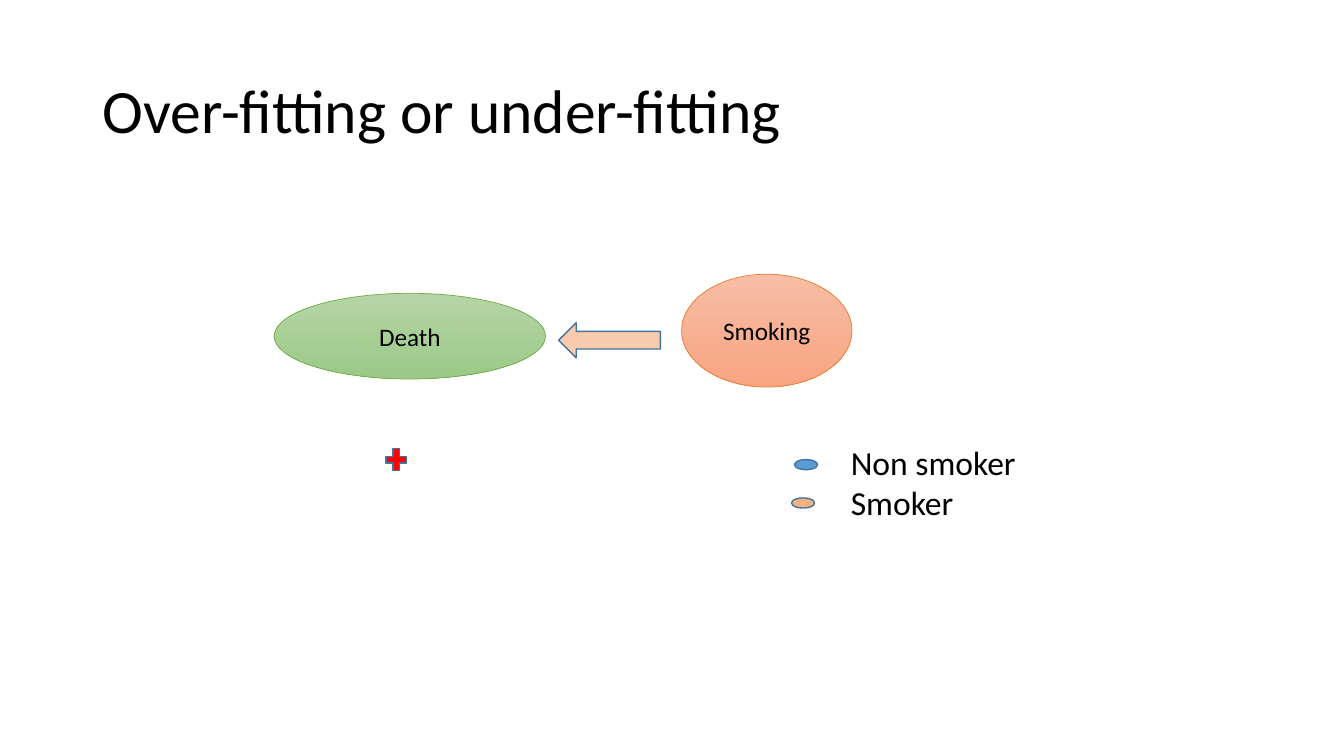
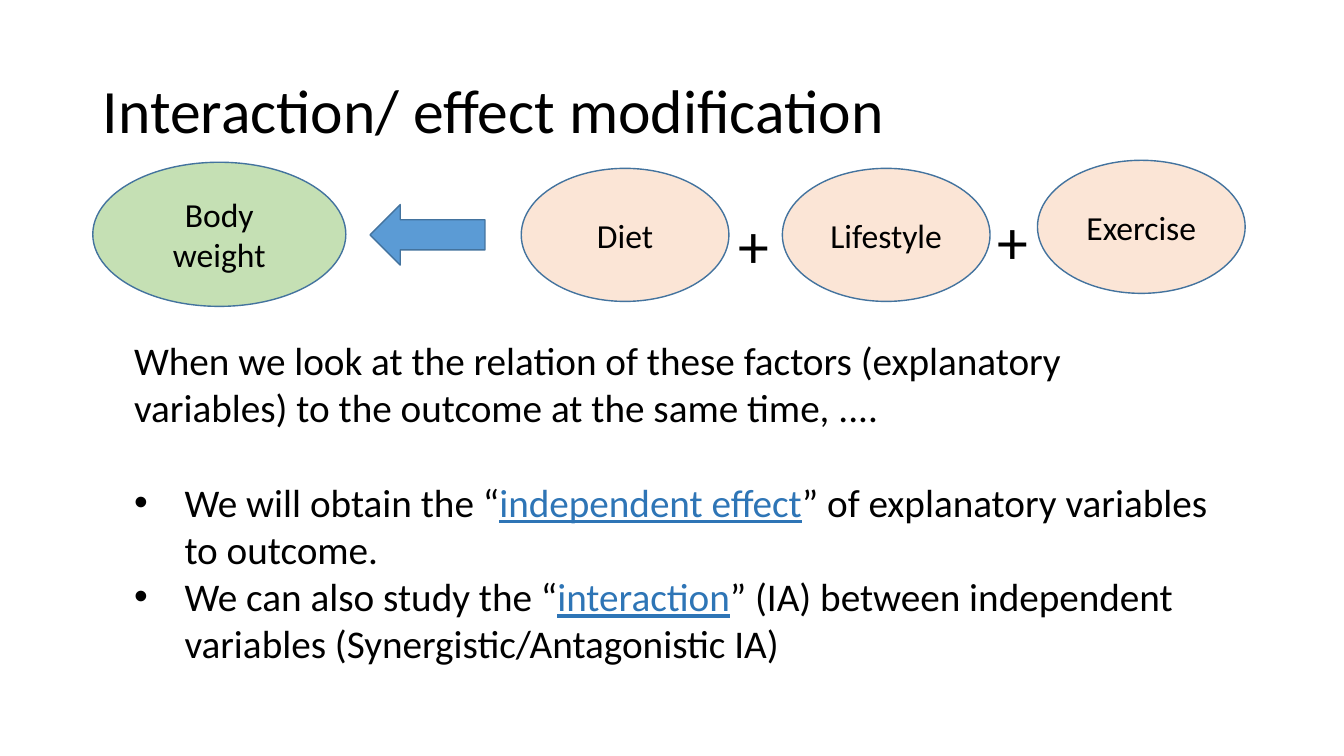
from lxml import etree
from pptx import Presentation
from pptx.dml.color import RGBColor
from pptx.enum.shapes import MSO_SHAPE
from pptx.enum.text import MSO_ANCHOR, MSO_AUTO_SIZE, PP_ALIGN
from pptx.oxml.ns import qn
from pptx.util import Inches, Pt

ELLIPSE = MSO_SHAPE.OVAL
ARROW = MSO_SHAPE.LEFT_ARROW
PLUS = MSO_SHAPE.MATH_PLUS
LEFT, CENTER = PP_ALIGN.LEFT, PP_ALIGN.CENTER
TOP, MIDDLE = MSO_ANCHOR.TOP, MSO_ANCHOR.MIDDLE
FIXED, GROW = MSO_AUTO_SIZE.NONE, MSO_AUTO_SIZE.SHAPE_TO_FIT_TEXT
TITLE_ONLY, TITLE_AND_BODY = 5, 1
FONT = "Calibri"
COLORS = {
    "text": "000000",
    "term": "2E75B6",
    "outline": "43739E",
    "blue": "5B9BD5",
    "red": "FF0000",
    "orange": "F4B183",
    "light_orange": "F8CBAD",
    "pale_orange": "FBE5D6",
    "pale_green": "C5E0B4",
    "green_line": "70AD47",
    "green_top": "B5D5A7",
    "green_bottom": "9CC987",
    "orange_line": "ED7D31",
    "orange_top": "F7BDA5",
    "orange_bottom": "F8A582",
}


def color(name):
    return RGBColor.from_string(COLORS[name])


class Deck:
    """Shared style and the slide being built."""

    def __init__(self):
        self.presentation = Presentation()
        self.presentation.slide_width = Inches(13.33)
        self.presentation.slide_height = Inches(7.5)
        self.page = None

    def add_page(self, layout, title):
        layouts = self.presentation.slide_layouts
        self.page = self.presentation.slides.add_slide(layouts[layout])
        box = self.page.shapes.title
        self.place(box, 0.92, 0.4, 11.5, 1.45)
        para = self.frame(box, MIDDLE, FIXED).paragraphs[0]
        para.alignment = LEFT
        para.line_spacing = 0.9
        self.add_span(para, title, 44)

    def place(self, box, left, top, width, height):
        box.left, box.top = Inches(left), Inches(top)
        box.width, box.height = Inches(width), Inches(height)

    def frame(self, box, anchor, fit):
        frame = box.text_frame
        frame.word_wrap = True
        frame.vertical_anchor = anchor
        frame.auto_size = fit
        return frame

    def add_span(self, para, text, size, term=False):
        span = para.add_run()
        span.text = text
        span.font.name = FONT
        span.font.size = Pt(size)
        span.font.color.rgb = color("term" if term else "text")
        if term:
            span.font.underline = True

    def shape(self, kind, at, fill, text="", size=24, line="outline", weight=1):
        box = self.page.shapes.add_shape(kind, *map(Inches, at))
        box.shadow.inherit = False
        if isinstance(fill, tuple):
            box.fill.gradient()
            box.fill.gradient_angle = 270
            for stop, name in zip(box.fill.gradient_stops, fill):
                stop.color.rgb = color(name)
        else:
            box.fill.solid()
            box.fill.fore_color.rgb = color(fill)
        box.line.color.rgb = color(line)
        box.line.width = Pt(weight)
        if text:
            para = self.frame(box, MIDDLE, FIXED).paragraphs[0]
            para.alignment = CENTER
            self.add_span(para, text, size)

    def label(self, at, lines, size):
        box = self.page.shapes.add_textbox(*map(Inches, at))
        frame = self.frame(box, TOP, GROW)
        for index, line in enumerate(lines):
            para = frame.add_paragraph() if index else frame.paragraphs[0]
            self.add_span(para, line, size)

    def body(self, at, intro, bullets, size, gap):
        box = self.page.placeholders[1]
        self.place(box, *at)
        frame = self.frame(box, TOP, FIXED)
        for index, spans in enumerate([[intro], *bullets]):
            para = frame.add_paragraph() if index else frame.paragraphs[0]
            para.alignment = LEFT
            para.space_before = Pt(gap if index == 1 else 0)
            indent = Inches(0.5) if index else 0
            properties = para._p.get_or_add_pPr()
            properties.set("marL", str(indent))
            properties.set("indent", str(-indent))
            if index:
                bullet = etree.SubElement(properties, qn("a:buChar"))
                bullet.set("char", "•")
            else:
                etree.SubElement(properties, qn("a:buNone"))
            for position, text in enumerate(spans):
                self.add_span(para, text, size, term=position == 1)


def build_fitting(deck):
    deck.add_page(TITLE_ONLY, "Over-fitting or under-fitting")
    deck.shape(ELLIPSE, (2.72, 2.91, 2.69, 0.85), ("green_top", "green_bottom"),
               "Death", 18, "green_line", 0.5)
    deck.shape(ELLIPSE, (6.76, 2.72, 1.69, 1.12), ("orange_top", "orange_bottom"),
               "Smoking", 18, "orange_line", 0.5)
    deck.shape(ARROW, (5.54, 3.2, 1.01, 0.35), "light_orange")
    deck.shape(ELLIPSE, (7.85, 4.94, 0.23, 0.1), "orange")
    deck.shape(ELLIPSE, (7.88, 4.56, 0.23, 0.1), "blue")
    deck.shape(PLUS, (3.79, 4.41, 0.28, 0.3), "red")
    deck.label((8.34, 4.33, 2.93, 0.91), ["Non smoker", "Smoker"], 24)


def build_interaction(deck):
    deck.add_page(TITLE_AND_BODY, "Interaction/ effect modification")
    deck.shape(ELLIPSE, (0.92, 1.61, 2.51, 1.43), "pale_green", "Body weight")
    factors = [("Diet", 5.17, 1.67), ("Lifestyle", 7.76, 1.67), ("Exercise", 10.29, 1.59)]
    for name, left, top in factors:
        deck.shape(ELLIPSE, (left, top, 2.06, 1.32), "pale_orange", name)
    deck.shape(ARROW, (3.67, 2.03, 1.14, 0.6), "blue")
    deck.body(
        (1.23, 3.29, 10.89, 3.4),
        "When we look at the relation of these factors (explanatory variables) "
        "to the outcome at the same time, ....",
        [
            ["We will obtain the “", "independent effect",
             "” of explanatory variables to outcome."],
            ["We can also study the “", "interaction",
             "” (IA) between independent variables (Synergistic/Antagonistic IA)"],
        ],
        size=28, gap=34,
    )
    for left, top in [(7.23, 2), (9.8, 1.96)]:
        deck.label((left, top, 0.53, 0.84), ["+"], 44)


def main():
    deck = Deck()
    build_fitting(deck)
    build_interaction(deck)
    deck.presentation.save("out.pptx")


if __name__ == "__main__":
    main()
